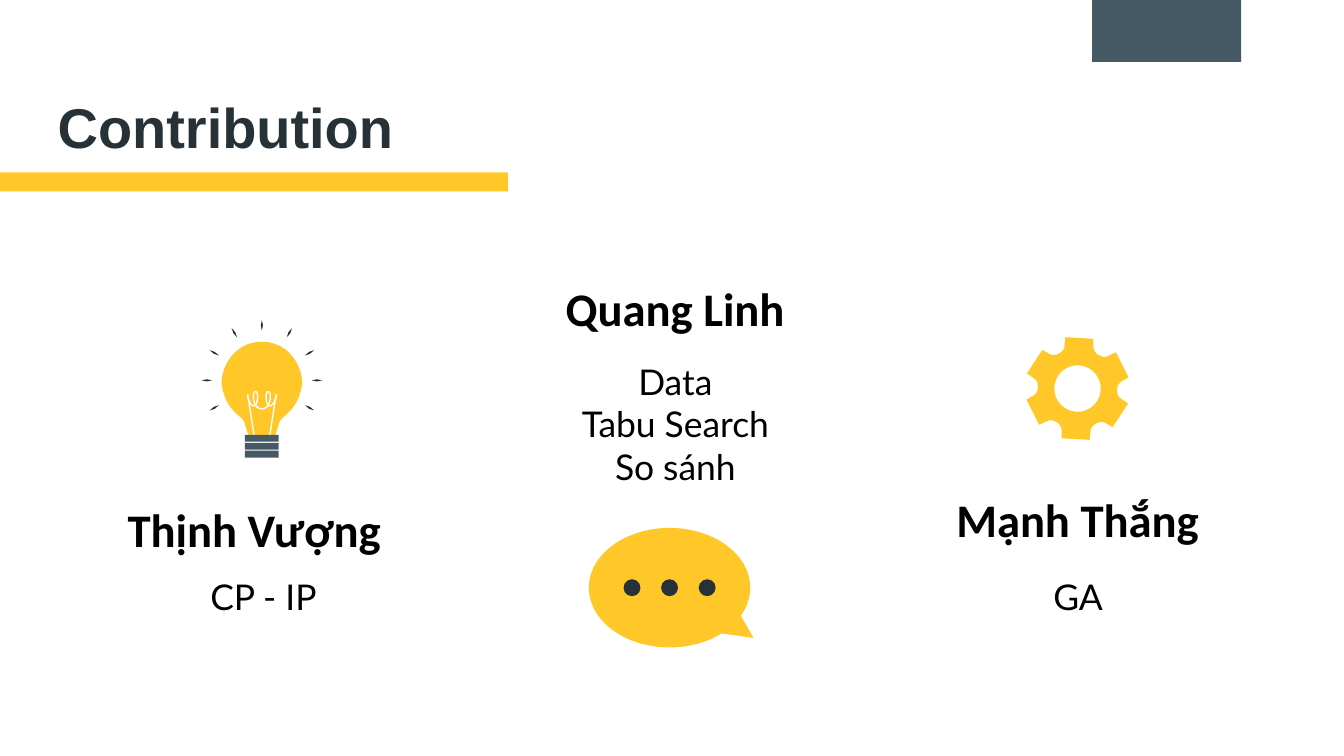
from math import cos, radians, sin

from lxml.etree import SubElement
from pptx import Presentation
from pptx.dml.color import RGBColor
from pptx.enum.shapes import MSO_CONNECTOR as Connector, MSO_SHAPE as Shape
from pptx.enum.text import MSO_ANCHOR as Anchor, PP_ALIGN as Align
from pptx.oxml.ns import qn
from pptx.util import Cm, Pt

COLORS = {
    "yellow": "FFC727",
    "slate": "455A64",
    "dark": "263238",
    "black": "000000",
    "white": "FFFFFF",
}


def color(name):
    return RGBColor.from_string(COLORS[name])


def paint(shape, fill=None, line=None):
    shape.shadow.inherit = False
    if fill:
        shape.fill.solid()
        shape.fill.fore_color.rgb = color(fill)
    else:
        shape.fill.background()
    if line:
        shape.line.color.rgb = color(line)
        shape.line.width = Pt(0.75)
    else:
        shape.line.fill.background()


def add_preset(slide, kind, box, fill):
    shape = slide.shapes.add_shape(kind, *map(Cm, box))
    paint(shape, fill)
    return shape


def add_outline(slide, origin, contours, fill=None, line=None):
    left, top = origin
    placed = [[(Cm(left + x), Cm(top + y)) for x, y in contour] for contour in contours]
    builder = slide.shapes.build_freeform(*placed[0][0], scale=1.0)
    for index, contour in enumerate(placed):
        if index:
            builder.move_to(*contour[0])
        builder.add_line_segments(contour[1:], close=bool(fill))
    paint(builder.convert_to_shape(), fill, line)


def add_line(slide, start, end, line):
    connector = slide.shapes.add_connector(Connector.STRAIGHT, *map(Cm, start + end))
    connector.line.color.rgb = color(line)
    connector.line.width = Pt(0.75)
    SubElement(connector._element.spPr, qn("a:effectLst"))


def add_text(slide, box, paragraphs, font="Lato", size=19, fill="black", bold=False,
             align=Align.CENTER, anchor=Anchor.TOP, spacing=1.0, before=0):
    frame = slide.shapes.add_textbox(*map(Cm, box)).text_frame
    frame.word_wrap = True
    frame.vertical_anchor = anchor
    frame.margin_left = frame.margin_right = Cm(0.25)
    frame.margin_top = frame.margin_bottom = Cm(0.25)
    for index, text in enumerate(paragraphs):
        paragraph = frame.add_paragraph() if index else frame.paragraphs[0]
        paragraph.text = text
        paragraph.alignment = align
        paragraph.line_spacing = spacing
        paragraph.space_before = Pt(before)
        for run in paragraph.runs:
            run.font.name = font
            run.font.size = Pt(size)
            run.font.bold = bold
            run.font.color.rgb = color(fill)


def trace_curves(start, *curves, steps=12):
    points = [start]
    for first, second, end in curves:
        corners = (points[-1], first, second, end)
        for step in range(1, steps + 1):
            t = step / steps
            weights = ((1 - t) ** 3, 3 * t * (1 - t) ** 2, 3 * t * t * (1 - t), t ** 3)
            points.append(tuple(
                sum(weight * corner[axis] for weight, corner in zip(weights, corners))
                for axis in (0, 1)))
    return points


def mirror(points):
    return points + [(-x, y) for x, y in reversed(points)]


def rotate(point, degrees):
    x, y = point
    angle = radians(degrees)
    return x * cos(angle) - y * sin(angle), x * sin(angle) + y * cos(angle)


def draw_bulb(slide, box):
    left, top, width, height = box
    middle = left + width / 2
    glass = trace_curves(
        (0, 0.41),
        ((-0.53, 0.41), (-0.78, 0.91), (-0.76, 1.22)),
        ((-0.68, 1.73), (-0.38, 1.8), (-0.33, 1.93)),
        ((-0.3, 2.03), (-0.28, 2.11), (-0.25, 2.18)))
    add_outline(slide, (middle, top), [mirror(glass)], fill="yellow")
    for side in (-1, 1):
        add_line(slide, (middle + side * 0.27, top + 1.4),
                 (middle + side * 0.14, top + 2.23), "white")
    coil = trace_curves(
        (-0.27, 1.45),
        ((-0.2, 1.7), (-0.08, 1.66), (-0.08, 1.45)),
        ((-0.08, 1.32), (-0.16, 1.32), (-0.16, 1.45)),
        ((-0.16, 1.6), (-0.08, 1.68), (0, 1.68)))
    add_outline(slide, (middle, top), [mirror(coil)], line="white")
    for index in range(3):
        add_preset(slide, Shape.RECTANGLE,
                   (middle - 0.32, top + 2.17 + 0.15 * index, 0.64, 0.13), "slate")
    radius = width / 2
    ray = [(0, -radius), (0.02, 0.1 - radius), (0, 0.2 - radius), (-0.02, 0.1 - radius)]
    for degrees in range(-120, 121, 30):
        add_outline(slide, (middle, top + radius),
                    [[rotate(point, degrees) for point in ray]], fill="dark")


def draw_bubble(slide, box):
    left, top, width, height = box
    bubble = add_preset(slide, Shape.OVAL_CALLOUT, box, "yellow")
    bubble.adjustments[0] = 0.52
    bubble.adjustments[1] = 0.42
    size = 0.32
    for offset in (-0.71, 0, 0.71):
        add_preset(slide, Shape.OVAL,
                   (left + (width - size) / 2 + offset, top + (height - size) / 2, size, size),
                   "dark")


def draw_gear(slide, box):
    left, top, width, height = box
    tooth = [(-0.23, -0.97), (0.3, -0.94)] + trace_curves(
        (0.3, -0.79),
        ((0.3, -0.74), (0.33, -0.69), (0.36, -0.66)),
        ((0.43, -0.61), (0.5, -0.58), (0.56, -0.61)))
    rim = [rotate(point, degrees) for degrees in range(0, 360, 60) for point in tooth]
    hole = [rotate((0, -0.44), degrees) for degrees in range(0, 360, 10)]
    add_outline(slide, (left + width / 2, top + height / 2), [rim, hole], fill="yellow")


def add_header(slide, box, title):
    left, top, width, height = box
    add_preset(slide, Shape.RECTANGLE, (left, top + height - 0.36, 9.6, 0.36), "yellow")
    add_preset(slide, Shape.RECTANGLE, (left + width - 4.76, top, 2.82, 1.17), "slate")
    add_text(slide, (left + 0.84, top + 1.47, 11.15, 1.8), [title], font="Arial", size=30,
             fill="dark", bold=True, align=Align.LEFT, anchor=Anchor.BOTTOM)


def add_member(slide, name, name_box, roles, role_box, draw_icon, icon_box):
    add_text(slide, name_box, [name], font="Calibri", size=25, bold=True,
             anchor=Anchor.MIDDLE, spacing=0.9, before=5)
    add_text(slide, role_box, roles)
    draw_icon(slide, icon_box)


def main():
    presentation = Presentation()
    presentation.slide_width = Cm(25.4)
    presentation.slide_height = Cm(14.29)
    slide = presentation.slides.add_slide(presentation.slide_layouts[6])
    add_header(slide, (0, 0, 25.4, 3.62), "Contribution")
    add_member(slide, "Thịnh Vượng", (1.07, 9.32, 7.47, 1.5),
               ["CP - IP"], (3.43, 10.62, 3.1, 1.32),
               draw_bulb, (3.81, 6.05, 2.28, 2.59))
    add_member(slide, "Quang Linh", (9.32, 5.13, 6.88, 1.5),
               ["Data\nTabu Search", "So sánh"], (10.39, 6.55, 4.75, 2.95),
               draw_bubble, (11.13, 9.98, 3.05, 2.26))
    add_member(slide, "Mạnh Thắng", (16.43, 9.12, 7.87, 1.5),
               ["GA"], (18.57, 10.62, 3.61, 1.32),
               draw_gear, (19.4, 6.38, 1.93, 1.93))
    presentation.save("out.pptx")


if __name__ == "__main__":
    main()
